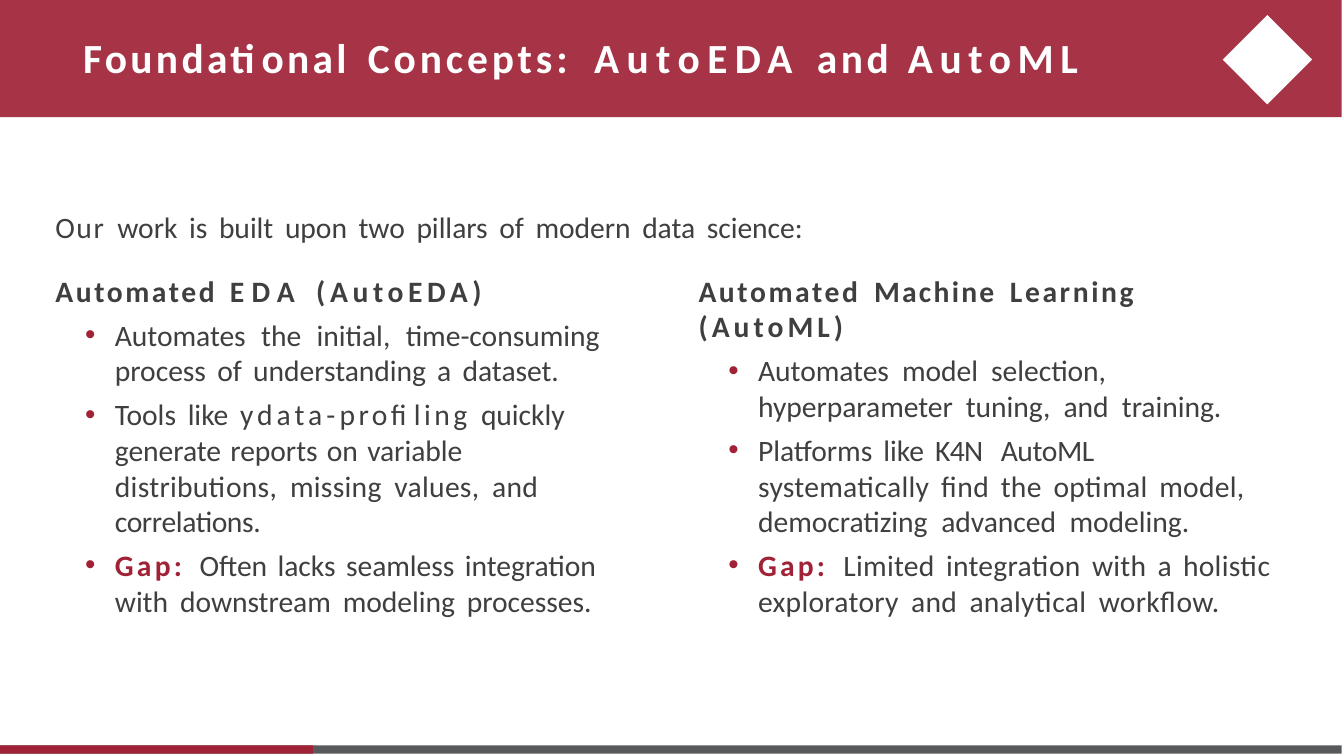
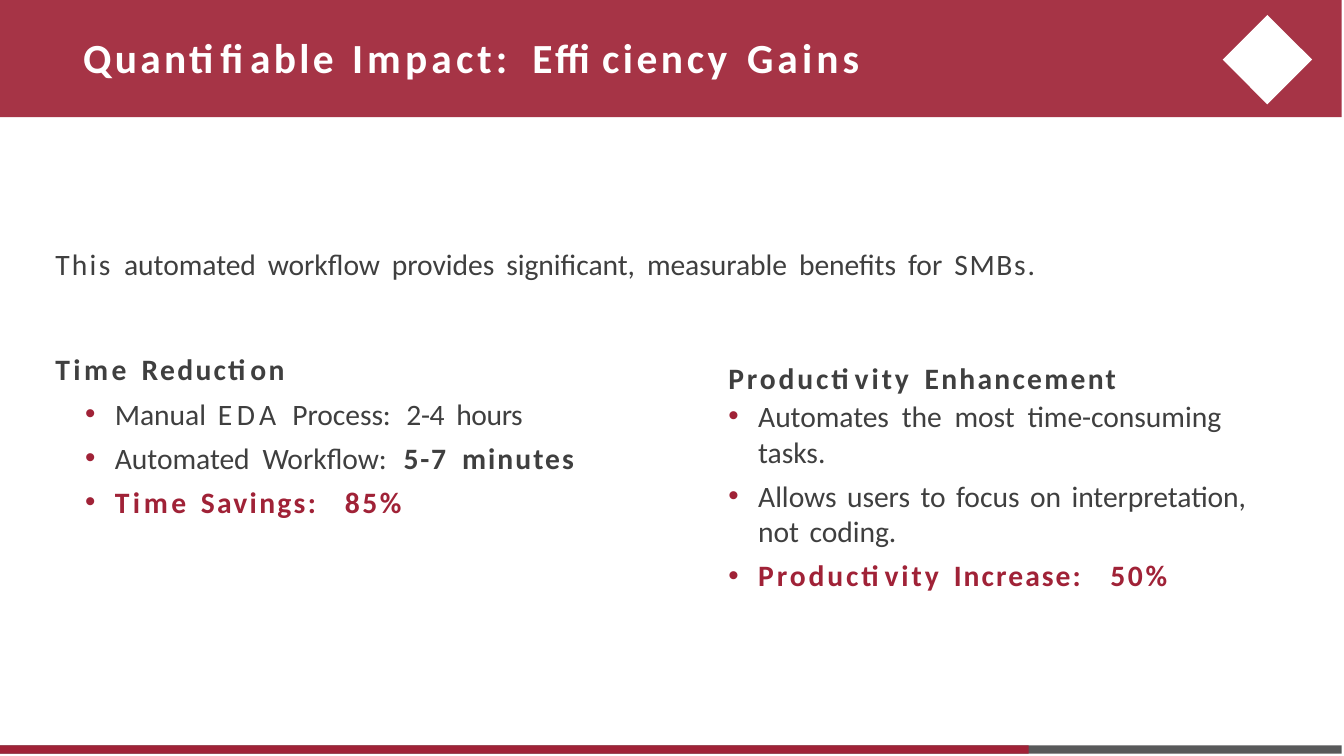
from dataclasses import dataclass
from itertools import groupby

from lxml import etree
from pptx import Presentation
from pptx.dml.color import RGBColor
from pptx.enum.shapes import MSO_SHAPE
from pptx.enum.text import MSO_ANCHOR, MSO_AUTO_SIZE, PP_ALIGN
from pptx.oxml.ns import qn
from pptx.util import Inches, Pt

RECTANGLE, DIAMOND = MSO_SHAPE.RECTANGLE, MSO_SHAPE.DIAMOND
TOP, LEFT, NO_FIT = MSO_ANCHOR.TOP, PP_ALIGN.LEFT, MSO_AUTO_SIZE.NONE

FONT, BULLET_FONT = "Calibri", "Arial"
BAND, ACCENT, TRACK = "A63446", "A02237", "58595A"
TEXT, WHITE = "3F3F3F", "FFFFFF"
SLIDE_WIDTH, SLIDE_HEIGHT, BAND_WIDTH = 6.31, 3.55, 6.3
MARGIN, BULLET_INDENT, BULLET_HANG = 0.26, 0.28, 0.14


@dataclass(frozen=True)
class Piece:
    """Text with letter spacing; gap is the spacing of its blanks, in points."""
    text: str
    spacing: float = 0
    gap: float | None = None
    bold: bool = False
    color: str = TEXT


@dataclass(frozen=True)
class Column:
    left: float
    top: float
    width: float
    height: float
    heading: list[Piece]
    bullets: list[list[Piece]]
    indent: float = BULLET_INDENT
    first_space: float = 2.9


@dataclass(frozen=True)
class Page:
    title: list[Piece]
    intro: list[Piece]
    intro_top: float
    intro_line: float | None
    columns: list[Column]
    progress: float


def strong(text: str, spacing: float, gap: float | None = None, color: str = TEXT) -> Piece:
    return Piece(text, spacing, gap, True, color)


def title_piece(text: str, spacing: float, gap: float | None = None) -> Piece:
    return strong(text, spacing, gap, WHITE)


def accent(text: str, spacing: float, gap: float | None = None) -> Piece:
    return strong(text, spacing, gap, ACCENT)


def rgb(color: str) -> RGBColor:
    return RGBColor.from_string(color)


def add_block(slide, kind, left: float, top: float, width: float, height: float, color: str):
    shape = slide.shapes.add_shape(kind, Inches(left), Inches(top), Inches(width), Inches(height))
    shape.shadow.inherit = False
    shape.fill.solid()
    shape.fill.fore_color.rgb = rgb(color)
    shape.line.fill.background()
    return shape


def add_run(paragraph, text: str, *, size: float, spacing: float, bold: bool, color: str) -> None:
    run = paragraph.add_run()
    run.text = text
    run.font.name, run.font.size, run.font.bold = FONT, Pt(size), bold
    run.font.color.rgb = rgb(color)
    run._r.get_or_add_rPr().set("spc", str(round(spacing * 100)))


def write(paragraph, pieces: list[Piece], *, size: float = 10, before: float = 0.9,
          line: float | None = None) -> None:
    """Fill a paragraph; a newline in a piece is a line break."""
    paragraph.alignment = LEFT
    paragraph.space_before = Pt(before)
    if line:
        paragraph.line_spacing = Pt(line)
    for piece in pieces:
        blank_spacing = piece.spacing if piece.gap is None else piece.gap
        for number, row in enumerate(piece.text.split("\n")):
            if number:
                paragraph.add_line_break()
                etree.SubElement(paragraph._p[-1], qn("a:rPr"), sz=str(round(size * 100)))
            for blank, letters in groupby(row, str.isspace):
                add_run(paragraph, "".join(letters), size=size, bold=piece.bold,
                        color=piece.color, spacing=blank_spacing if blank else piece.spacing)


def add_bullet(paragraph, indent: float) -> None:
    properties = paragraph._p.get_or_add_pPr()
    properties.set("marL", str(Inches(indent)))
    properties.set("indent", str(-Inches(BULLET_HANG)))
    color = etree.SubElement(properties, qn("a:buClr"))
    etree.SubElement(color, qn("a:srgbClr"), val=ACCENT)
    etree.SubElement(properties, qn("a:buFont"), typeface=BULLET_FONT)
    etree.SubElement(properties, qn("a:buChar"), char="•")


def format_frame(frame, top_inset: float) -> None:
    frame.margin_left = frame.margin_right = frame.margin_bottom = 0
    frame.margin_top = Inches(top_inset)
    frame.vertical_anchor = TOP
    frame.auto_size = NO_FIT
    frame.word_wrap = True


def add_text_frame(slide, left: float, top: float, width: float, height: float):
    box = slide.shapes.add_textbox(Inches(left), Inches(top), Inches(width), Inches(height))
    format_frame(box.text_frame, 0.01)
    return box.text_frame


def add_title(slide, pieces: list[Piece]) -> None:
    title = slide.shapes.title
    title.left, title.top = Inches(0.39), Inches(0.13)
    title.width, title.height = Inches(4.95), Inches(0.27)
    format_frame(title.text_frame, 0.02)
    write(title.text_frame.paragraphs[0], pieces, size=14, before=1.4)
    # Bring the title in front of the band
    title.element.getparent().append(title.element)


def add_column(slide, column: Column) -> None:
    frame = add_text_frame(slide, column.left, column.top, column.width, column.height)
    write(frame.paragraphs[0], column.heading)
    for number, bullet in enumerate(column.bullets):
        paragraph = frame.add_paragraph()
        write(paragraph, bullet, before=2.9 if number else column.first_space)
        add_bullet(paragraph, column.indent)


def add_page(presentation, page: Page) -> None:
    slide = presentation.slides.add_slide(presentation.slide_layouts[5])
    # Header band with emblem and title
    add_block(slide, RECTANGLE, 0, 0, BAND_WIDTH, 0.55, BAND)
    add_block(slide, DIAMOND, 5.74, 0.07, 0.42, 0.42, WHITE)
    add_title(slide, page.title)
    # Introduction and the two columns
    intro = add_text_frame(slide, MARGIN, page.intro_top, 5, 0.19)
    write(intro.paragraphs[0], page.intro, line=page.intro_line)
    for column in page.columns:
        add_column(slide, column)
    # Progress bar
    for width, color in ((BAND_WIDTH, TRACK), (page.progress, ACCENT)):
        add_block(slide, RECTANGLE, 0, 3.5, width, 0.04, color)


CONCEPTS = Page(
    title=[title_piece("Foundational ", 1.1, 2.8), title_piece("Concepts: ", 1.3, 4.3),
           title_piece("AutoEDA ", 2.5), title_piece("and ", 1.2, 2), title_piece("AutoML", 2.2)],
    intro=[Piece("Our ", 0.6, 1.7),
           Piece("work is built upon two pillars of modern data science:", 0, 1.7)],
    intro_top=0.97, intro_line=None, progress=1.47,
    columns=[
        Column(
            MARGIN, 1.27, 2.75, 1.65,
            [strong("Automated ", 0.9, 1.9), strong("EDA ", 2.5), strong("(AutoEDA)", 1.6)],
            [
                [Piece("Automates the initial, time-consuming\n", 0, 3),
                 Piece("process of understanding a dataset.", 0, 1.6)],
                [Piece("Tools like ", 0, 1.7), Piece("ydata-", 1.4), Piece("profiling ", 1.2),
                 Piece("quickly\ngenerate reports on variable\n", 0, 0.9),
                 Piece("distributions, missing values, and\n", 0.1, 2), Piece("correlations.", -0.1)],
                [accent("Gap: ", 1.1, 2.6), Piece("Often lacks seamless integration\n", 0, 1.3),
                 Piece("with downstream modeling processes.", 0, 1.8)],
            ]),
        Column(
            3.28, 1.27, 2.77, 1.65,
            [strong("Automated ", 0.9, 2.2), strong("Machine ", 0.8, 2.2),
             strong("Learning\n", 0.9), strong("(AutoML)", 1.4)],
            [
                [Piece("Automates model selection,\nhyperparameter tuning, and training.", 0, 2.2)],
                [Piece("Platforms like ", 0, 1.5), Piece("K4N ", -0.2, 3.7), Piece("AutoML\n", -0.1),
                 Piece("systematically find the optimal model,\n", 0.1, 1.7),
                 Piece("democratizing advanced modeling.", 0, 2.4)],
                [accent("Gap: ", 1.1, 2.8), Piece("Limited integration with a holistic\n", 0.1, 1.5),
                 Piece("exploratory and analytical workflow.", 0.1, 1.9)],
            ]),
    ])

IMPACT = Page(
    title=[title_piece("Quantifiable ", 1.1, 1.8), title_piece("Impact: ", 1.4, 3.8),
           title_piece("Efficiency ", 1.2, 2.2), title_piece("Gains", 1.4)],
    intro=[Piece("This ", 0.8, 1.6),
           Piece("automated workflow provides significant, measurable benefits for ", 0, 1.8),
           Piece("SMBs.", 0.6)],
    intro_top=1.16, intro_line=10.9, progress=4.83,
    columns=[
        Column(
            MARGIN, 1.64, 2.75, 0.82,
            [strong("Time ", 1.2, 1.7), strong("Reduction", 0.8)],
            [
                [Piece("Manual ", 0, 1.7), Piece("EDA ", 1.6), Piece("Process: ", 0, 3),
                 Piece("2-4 hours", -0.1, 1.7)],
                [Piece("Automated ", 0, 2.1), Piece("Workflow: ", 0, 3.5), strong("5-", 0.6),
                 strong("7 ", 0.8, 2.4), strong("minutes", 0.7)],
                [accent("Time ", 1.2, 1.5), accent("Savings: ", 0.8, 6.7), accent("85%", 0.9)],
            ]),
        Column(
            3.42, 1.68, 2.6, 1.12,
            [strong("Productivity ", 1, 2), strong("Enhancement", 0.8)],
            [
                [Piece("Automates the most time-consuming\ntasks.", 0, 2.1)],
                [Piece("Allows users to focus on interpretation,\nnot coding.", 0, 1.3)],
                [accent("Productivity ", 1, 1.8), accent("Increase: ", 0.7, 7), accent("50%", 0.9)],
            ],
            indent=0.14, first_space=0.9),
    ])


def main() -> None:
    presentation = Presentation()
    presentation.slide_width = Inches(SLIDE_WIDTH)
    presentation.slide_height = Inches(SLIDE_HEIGHT)
    for page in (CONCEPTS, IMPACT):
        add_page(presentation, page)
    presentation.save("out.pptx")


if __name__ == "__main__":
    main()
